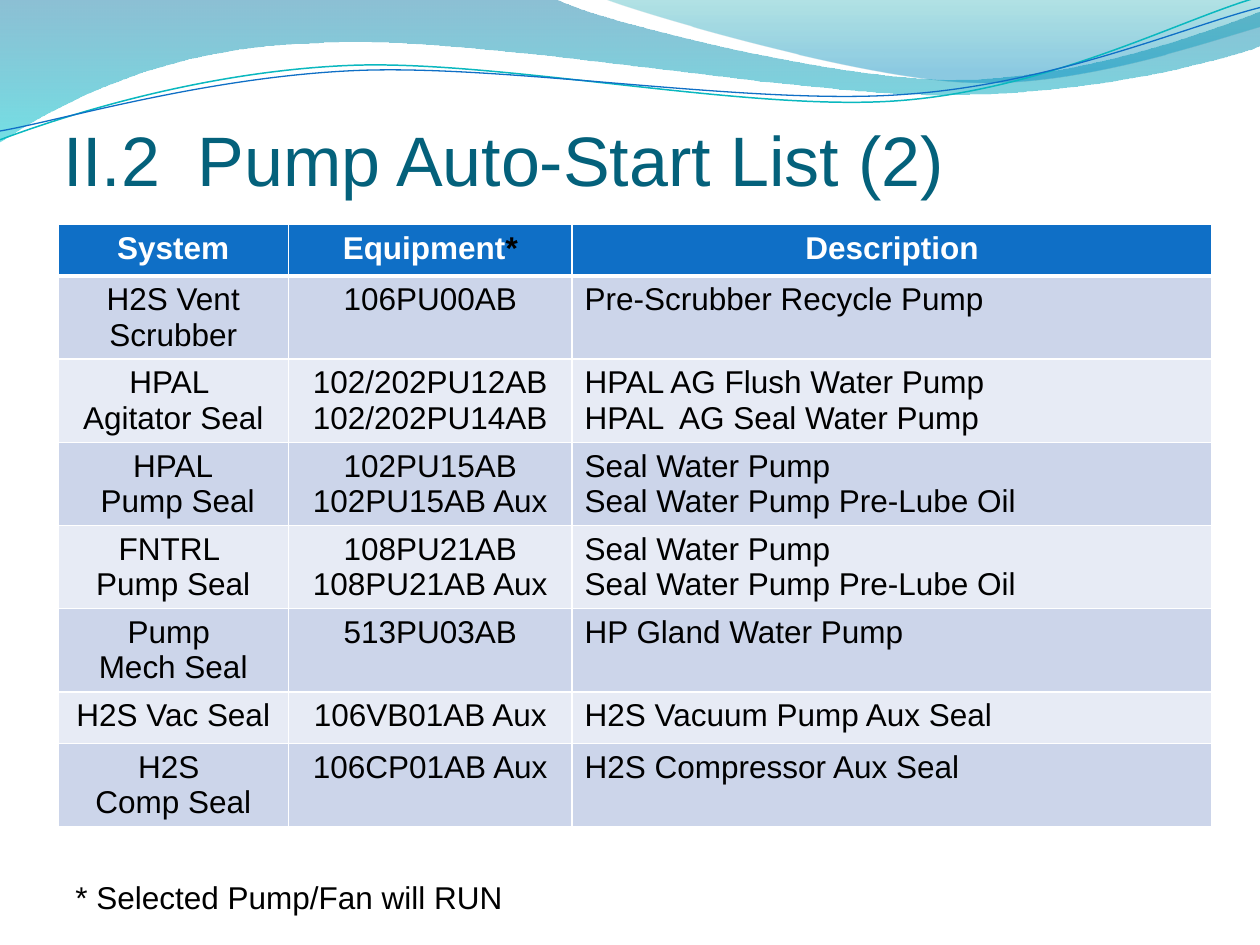
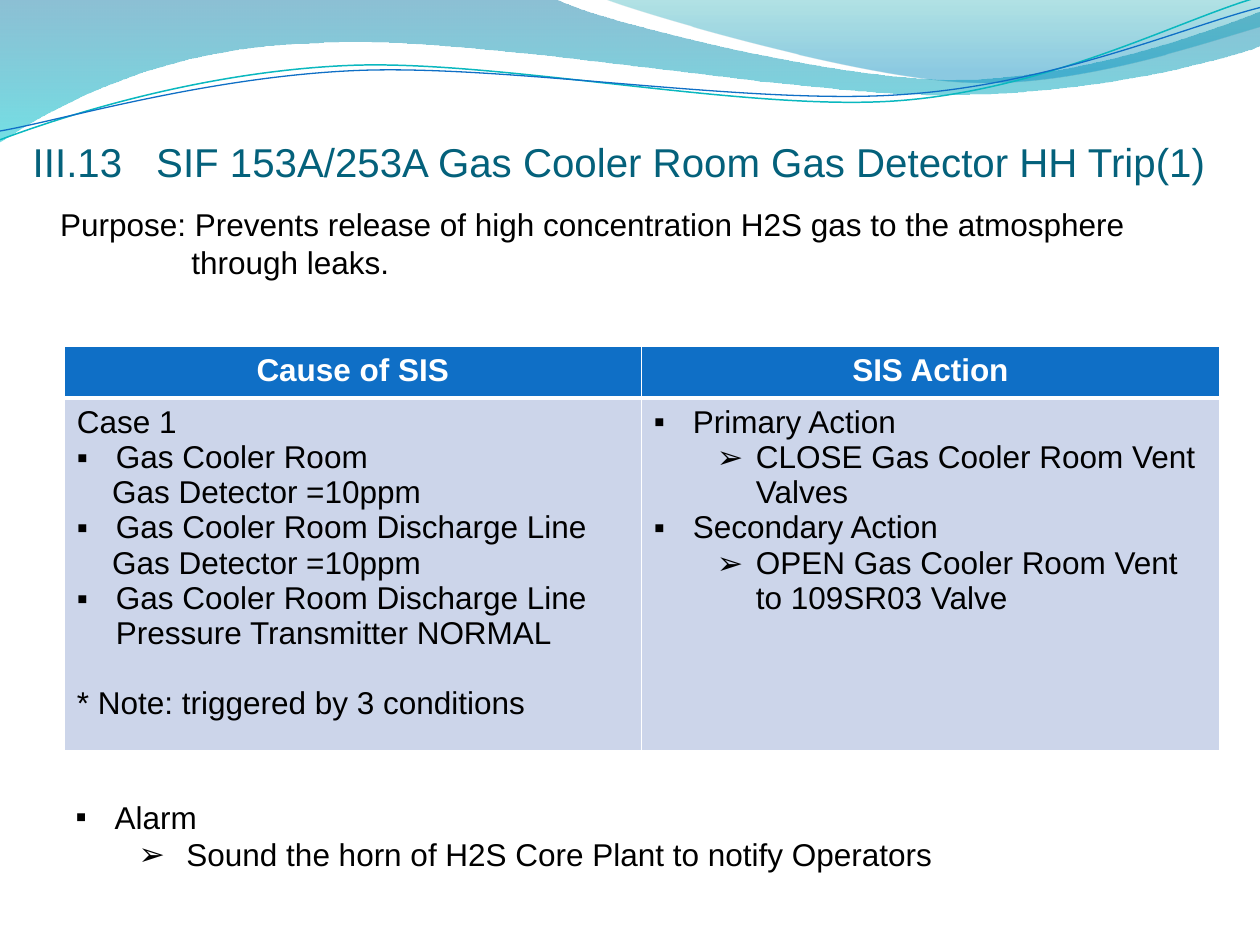
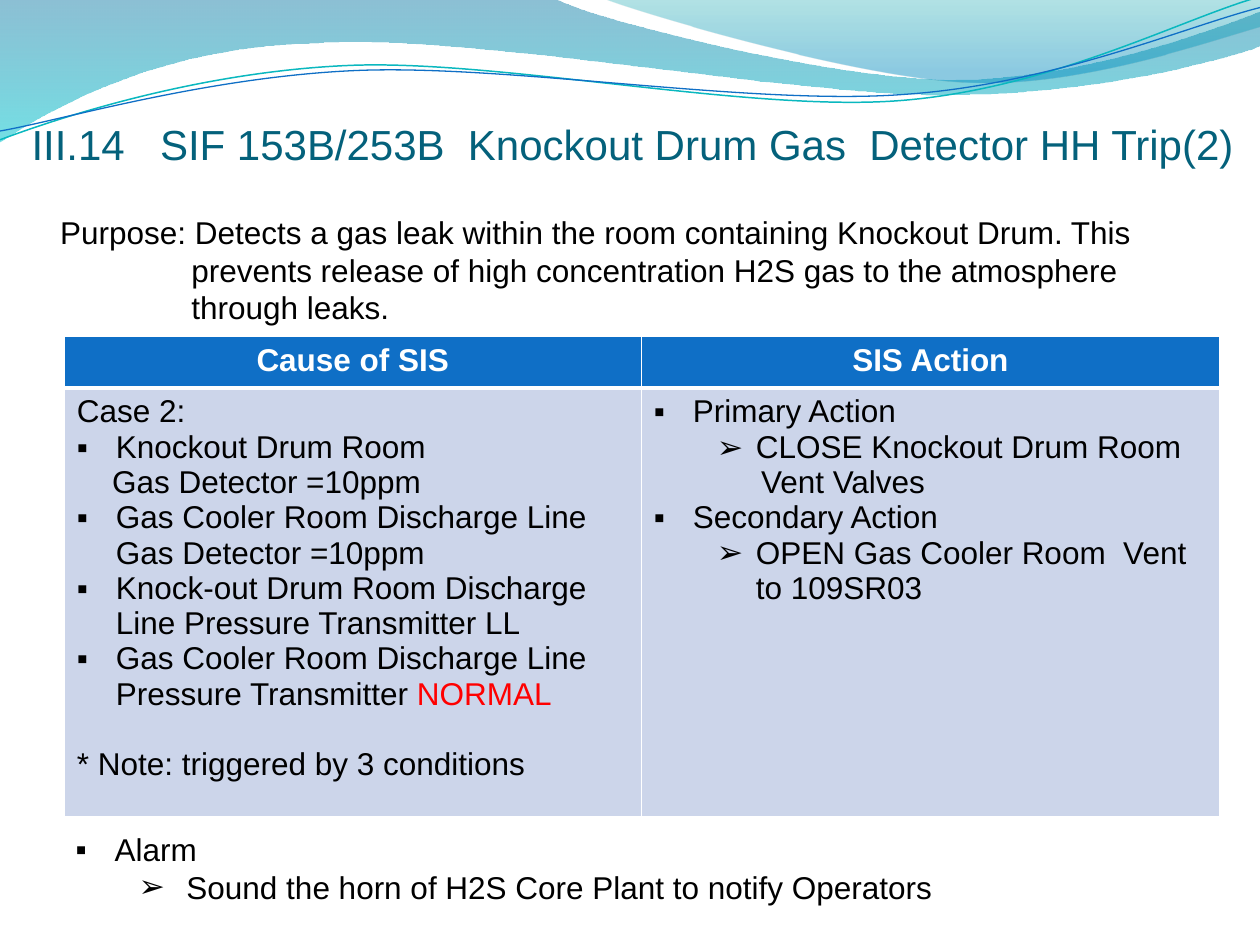
from lxml import etree
from pptx import Presentation
from pptx.dml.color import RGBColor
from pptx.enum.text import MSO_ANCHOR, MSO_AUTO_SIZE, PP_ALIGN
from pptx.oxml.ns import qn
from pptx.util import Inches, Pt

LEFT, CENTER = PP_ALIGN.LEFT, PP_ALIGN.CENTER
BOTTOM, TOP = MSO_ANCHOR.BOTTOM, MSO_ANCHOR.TOP
NO_AUTOFIT = MSO_AUTO_SIZE.NONE

FONT = "Arial"
BODY_SIZE = 18
TITLE_AND_LIST, TITLE_ONLY = 1, 5
HEADER_HEIGHT = 0.41

COLORS = {
    "title": "04617B",
    "text": "000000",
    "white": "FFFFFF",
    "alert": "FF0000",
    "header": "0F6FC6",
    "band_dark": "CCD5EA",
    "band_light": "E7EBF5",
    "teal_line": "0AB8BF",
    "blue_line": "0F6FC6",
    "wave_blue": "0074A1",
    "wave_cyan": "00C6CF",
    "wave_teal": "00A1A9",
    "wave_sky": "008BBF",
}

# Line style: bullet, left margin, first-line indent, level, space before
LINE_STYLES = {
    "plain": (None, 0, 0, 0, 0),
    "item": ("▪", 0.31, -0.31, 0, 0),
    "item_rest": (None, 0.28, 0, 0, 0),
    "subitem": ("➢", 0.81, -0.31, 1, 0),
    "subitem_rest": (None, 0.85, 0, 1, 0),
    "alarm_action": ("➢", 0.88, -0.38, 1, 0),
    "purpose_rest": (None, 1.04, 0, 0, 0),
    "note": (None, 0, 0, 0, 20),
}

# Each wave starts at a point; two numbers add a line, six add a Bézier curve.
WAVE_BANDS = [
    ([(0, 0), (4.4, -0.01), (4.76, 0.17, 6.64, 0.63, 7.58, 0.63),
      (8.53, 0.63, 9.58, 0.26, 10, 0.09), (10.01, 0.36),
      (9.83, 0.44, 8.7, 0.76, 7.46, 0.75), (6.22, 0.75, 3.82, 0.28, 2.57, 0.34),
      (1.29, 0.36, 0.46, 0.83, -0.01, 1.13)],
     [(0, "wave_blue", 45), (1, "wave_cyan", 55)]),
    ([(4.79, -0.01), (5.09, 0.11, 6.82, 0.62, 7.69, 0.65),
      (8.56, 0.69, 9.61, 0.32, 10, 0.21), (10, 0)],
     [(0, "wave_teal", 30), (0.8, "wave_sky", 45)]),
]
WAVE_LINES = [
    ([(0, 1.11), (0.48, 0.93, 1.58, 0.57, 2.77, 0.52),
      (3.95, 0.47, 5.93, 0.89, 7.13, 0.8), (8.33, 0.71, 9.38, 0.15, 9.98, -0.02)],
     "teal_line", 0.85),
    ([(0, 1.04), (0.47, 0.96, 1.64, 0.61, 2.83, 0.56),
      (4.03, 0.51, 5.97, 0.84, 7.17, 0.75), (8.36, 0.67, 9.41, 0.21, 10, 0.06)],
     "blue_line", 0.75),
]

PUMP_HEADERS = [("System",), ("Equipment", ("*", "text")), ("Description",)]
PUMP_ROWS = [
    (["H2S Vent Scrubber"], ["106PU00AB"], ["Pre-Scrubber Recycle Pump"]),
    (["HPAL ", "Agitator Seal"], ["102/202PU12AB", "102/202PU14AB"],
     ["HPAL AG Flush Water Pump", "HPAL  AG Seal Water Pump"]),
    (["HPAL", " Pump Seal"], ["102PU15AB", "102PU15AB Aux"],
     ["Seal Water Pump", "Seal Water Pump Pre-Lube Oil"]),
    (["FNTRL ", "Pump Seal"], ["108PU21AB", "108PU21AB Aux"],
     ["Seal Water Pump", "Seal Water Pump Pre-Lube Oil"]),
    (["Pump ", "Mech Seal"], ["513PU03AB"], ["HP Gland Water Pump"]),
    (["H2S Vac Seal"], ["106VB01AB Aux"], ["H2S Vacuum Pump Aux Seal"]),
    (["H2S ", "Comp Seal"], ["106CP01AB Aux"], ["H2S Compressor Aux Seal"]),
]
PUMP_ROW_HEIGHTS = [0.66] * 5 + [0.41, 0.66]

TRIP_HEADERS = [("Cause of SIS",), ("SIS Action",)]
TRIP_NOTE = ("note", "* Note: triggered by 3 conditions")
ALARM = [
    ("item", "Alarm"),
    ("alarm_action", "Sound the horn of H2S Core Plant to notify Operators"),
]
TRIPS = [
    {
        "title": "III.13\tSIF 153A/253A Gas Cooler Room Gas Detector HH Trip(1)",
        "title_box": (0.26, 0.64, 9.67, 0.83), "title_size": 23, "title_tab": 0.98,
        "purpose": [
            ("plain", "Purpose: Prevents release of high concentration H2S gas "
                      "to the atmosphere"),
            ("purpose_rest", "through leaks."),
        ],
        "purpose_box": (0.38, 1.58, 9.33, 0.71),
        "table_box": (0.51, 2.75, 9.17, 3.21),
        "alarm_box": (0.5, 6.28, 7.93, 0.71),
        "causes": [
            ("plain", "Case 1"),
            ("item", "Gas Cooler Room"),
            ("item_rest", "Gas Detector =10ppm"),
            ("item", "Gas Cooler Room Discharge Line"),
            ("item_rest", "Gas Detector =10ppm"),
            ("item", "Gas Cooler Room Discharge Line Pressure Transmitter NORMAL"),
            TRIP_NOTE,
        ],
        "actions": [
            ("item", "Primary Action"),
            ("subitem", "CLOSE Gas Cooler Room Vent Valves"),
            ("item", "Secondary Action"),
            ("subitem", "OPEN Gas Cooler Room Vent to 109SR03 Valve"),
        ],
    },
    {
        "title": "III.14\tSIF 153B/253B  Knockout Drum Gas  Detector HH Trip(2)",
        "title_box": (0.25, 0.51, 9.67, 0.83), "title_size": 24, "title_tab": 1.02,
        "purpose": [
            ("plain", "Purpose: Detects a gas leak within the room containing "
                      "Knockout Drum. This"),
            ("purpose_rest", "prevents release of high concentration H2S gas "
                             "to the atmosphere"),
            ("purpose_rest", "through leaks."),
        ],
        "purpose_box": (0.38, 1.64, 9.33, 1.01),
        "table_box": (0.51, 2.67, 9.17, 3.81),
        "alarm_box": (0.5, 6.54, 7.93, 0.71),
        "causes": [
            ("plain", "Case 2:"),
            ("item", "Knockout Drum Room"),
            ("item_rest", "Gas Detector =10ppm"),
            ("item", "Gas Cooler Room Discharge Line Gas Detector =10ppm"),
            ("item", "Knock-out Drum Room Discharge Line Pressure Transmitter LL"),
            ("item", "Gas Cooler Room Discharge Line Pressure Transmitter ",
             ("NORMAL", "alert")),
            TRIP_NOTE,
        ],
        "actions": [
            ("item", "Primary Action"),
            ("subitem", "CLOSE Knockout Drum Room"),
            ("subitem_rest", "Vent Valves"),
            ("item", "Secondary Action"),
            ("subitem", "OPEN Gas Cooler Room  Vent to 109SR03"),
        ],
    },
]


def rgb(name):
    return RGBColor.from_string(COLORS[name])


def inches(values):
    return [Inches(value) for value in values]


def place(shape, box):
    shape.left, shape.top, shape.width, shape.height = inches(box)


def format_run(run, color, size=BODY_SIZE, bold=False):
    run.font.name = FONT
    run.font.size = Pt(size)
    run.font.bold = bold
    run.font.color.rgb = rgb(color)


def write_lines(frame, lines, color="text", align=LEFT, bold=False):
    """Write (style, text, optional (accent text, accent colour)) lines."""
    for index, (style, text, *accents) in enumerate(lines):
        paragraph = frame.add_paragraph() if index else frame.paragraphs[0]
        bullet, margin, indent, level, space_before = LINE_STYLES[style]
        paragraph.text = text
        paragraph.alignment = align
        paragraph.level = level
        paragraph.space_before = Pt(space_before)
        format_run(paragraph.runs[0], color, bold=bold)
        for accent, accent_color in accents:
            run = paragraph.add_run()
            run.text = accent
            format_run(run, accent_color, bold=bold)
        properties = paragraph._p.get_or_add_pPr()
        properties.set("marL", str(Inches(margin)))
        properties.set("indent", str(Inches(indent)))
        if bullet:
            etree.SubElement(properties, qn("a:buFont"), typeface=FONT)
            etree.SubElement(properties, qn("a:buChar"), char=bullet)


def draw_wave(shapes, outline, close):
    """Build the outline through all its points, then bend the six-number segments."""
    points = [tuple(inches(segment[i:i + 2]))
              for segment in outline for i in range(0, len(segment), 2)]
    builder = shapes.build_freeform(*points[0])
    builder.add_line_segments(points[1:], close=close)
    wave = builder.convert_to_shape()
    wave.shadow.inherit = False
    straights = wave.element.iter(qn("a:lnTo"))
    straights = iter(list(straights))
    for segment in outline[1:]:
        first = next(straights)
        if len(segment) == 6:
            curve = etree.Element(qn("a:cubicBezTo"))
            first.addprevious(curve)
            for straight in (first, next(straights), next(straights)):
                curve.append(straight[0])
                straight.getparent().remove(straight)
    return wave


def draw_wave_band(shapes, outline, stops):
    band = draw_wave(shapes, outline, close=True)
    band.line.fill.background()
    band.fill.gradient()
    band.fill.gradient_angle = 270
    for stop, (position, color, _) in zip(band.fill.gradient_stops, stops):
        stop.position = position
        stop.color.rgb = rgb(color)
    for color_element, (_, _, opacity) in zip(band.element.iter(qn("a:srgbClr")), stops):
        etree.SubElement(color_element, qn("a:alpha"), val=str(opacity * 1000))
    return band


def draw_wave_line(shapes, outline, color, width):
    line = draw_wave(shapes, outline, close=False)
    line.fill.background()
    line.line.color.rgb = rgb(color)
    line.line.width = Pt(width)
    return line


def add_waves_to_master(master, slide):
    """Draw the waves on a slide, then move them behind everything on the master."""
    waves = [draw_wave_band(slide.shapes, *band) for band in WAVE_BANDS]
    waves += [draw_wave_line(slide.shapes, *line) for line in WAVE_LINES]
    for index, wave in enumerate(waves):
        wave.element.nvSpPr.cNvPr.set("id", str(100 + index))
        master.shapes.element.insert(2 + index, wave.element)


def add_title(slide, text, box, size, tab):
    title = slide.shapes.title
    place(title, box)
    frame = title.text_frame
    frame.text = text
    frame.auto_size = NO_AUTOFIT
    frame.word_wrap = True
    frame.vertical_anchor = BOTTOM
    frame.margin_left = frame.margin_right = frame.margin_bottom = 0
    frame.margin_top = Inches(0.05)
    paragraph = frame.paragraphs[0]
    paragraph.alignment = LEFT
    for run in paragraph.runs:
        format_run(run, "title", size)
    tabs = etree.SubElement(paragraph._p.get_or_add_pPr(), qn("a:tabLst"))
    etree.SubElement(tabs, qn("a:tab"), pos=str(Inches(tab)), algn="l")


def fill_text_region(shape, lines):
    frame = shape.text_frame
    frame.word_wrap = True
    frame.auto_size = NO_AUTOFIT
    frame.vertical_anchor = TOP
    write_lines(frame, lines)


def add_text_region(slide, box, lines):
    fill_text_region(slide.shapes.add_textbox(*inches(box)), lines)


def add_alarm_list(slide, box):
    alarm = slide.placeholders[1]
    place(alarm, box)
    fill_text_region(alarm, ALARM)


def set_borders(cell, row):
    """White rules, with a thick one under the header."""
    widths = {"L": 1, "R": 1, "T": 3 if row == 1 else 1, "B": 3 if row == 0 else 1}
    properties = cell._tc.get_or_add_tcPr()
    for index, (side, width) in enumerate(widths.items()):
        border = etree.Element(qn(f"a:ln{side}"), w=str(Pt(width)))
        fill = etree.SubElement(border, qn("a:solidFill"))
        etree.SubElement(fill, qn("a:srgbClr"), val=COLORS["white"])
        properties.insert(index, border)


def add_banded_table(slide, box, column_widths, row_heights, headers, rows, aligns):
    """Add a table whose body cells are lists of styled lines."""
    header_row = [[("plain", *header)] for header in headers]
    frame = slide.shapes.add_table(len(rows) + 1, len(headers), *inches(box))
    table = frame.table
    for column, width in zip(table.columns, column_widths):
        column.width = Inches(width)
    for row, height in zip(table.rows, [HEADER_HEIGHT, *row_heights]):
        row.height = Inches(height)
    for row_index, row in enumerate([header_row, *rows]):
        is_header = row_index == 0
        band = "header" if is_header else "band_dark" if row_index % 2 else "band_light"
        for column_index, lines in enumerate(row):
            cell = table.cell(row_index, column_index)
            cell.fill.solid()
            cell.fill.fore_color.rgb = rgb(band)
            set_borders(cell, row_index)
            write_lines(cell.text_frame, lines,
                        color="white" if is_header else "text",
                        align=CENTER if is_header else aligns[column_index],
                        bold=is_header)


def build_pump_slide(slide):
    add_title(slide, "II.2\tPump Auto-Start List (2)", (0.5, 0.82, 9, 0.77), 40, 1.07)
    rows = [[[("plain", text) for text in texts] for texts in row] for row in PUMP_ROWS]
    add_banded_table(slide, (0.46, 1.78, 9.17, 4.78), (1.83, 2.25, 5.08),
                     PUMP_ROW_HEIGHTS, PUMP_HEADERS, rows, (CENTER, CENTER, LEFT))
    add_text_region(slide, (0.5, 6.92, 9.25, 0.42),
                    [("plain", "* Selected Pump/Fan will RUN")])


def build_trip_slide(slide, trip):
    add_title(slide, trip["title"], trip["title_box"], trip["title_size"],
              trip["title_tab"])
    add_text_region(slide, trip["purpose_box"], trip["purpose"])
    body_height = trip["table_box"][3] - HEADER_HEIGHT
    add_banded_table(slide, trip["table_box"], (4.58, 4.59), [body_height],
                     TRIP_HEADERS, [[trip["causes"], trip["actions"]]], (LEFT, LEFT))
    add_alarm_list(slide, trip["alarm_box"])


def main():
    prs = Presentation()
    prs.slide_width, prs.slide_height = Inches(10), Inches(7.5)
    pump_slide = prs.slides.add_slide(prs.slide_layouts[TITLE_ONLY])
    add_waves_to_master(prs.slide_master, pump_slide)
    build_pump_slide(pump_slide)
    for trip in TRIPS:
        build_trip_slide(prs.slides.add_slide(prs.slide_layouts[TITLE_AND_LIST]), trip)
    prs.save("out.pptx")


if __name__ == "__main__":
    main()
